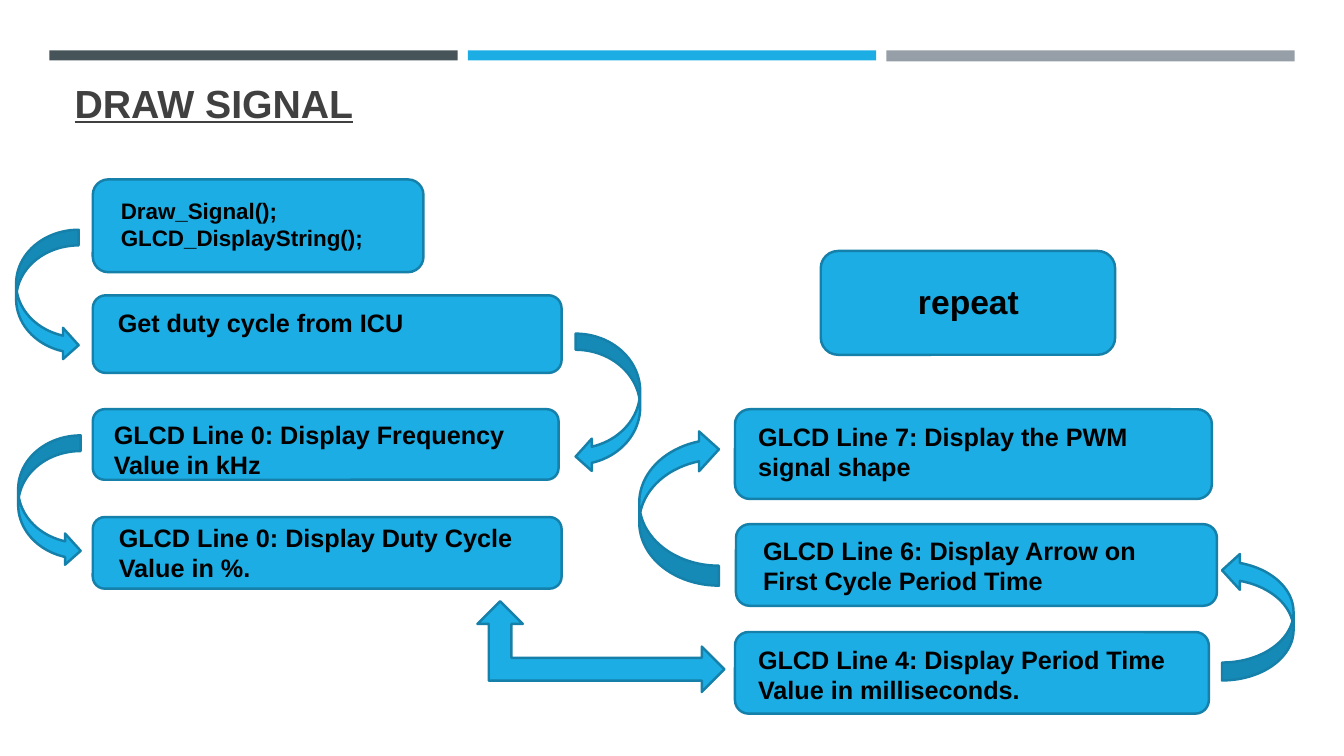
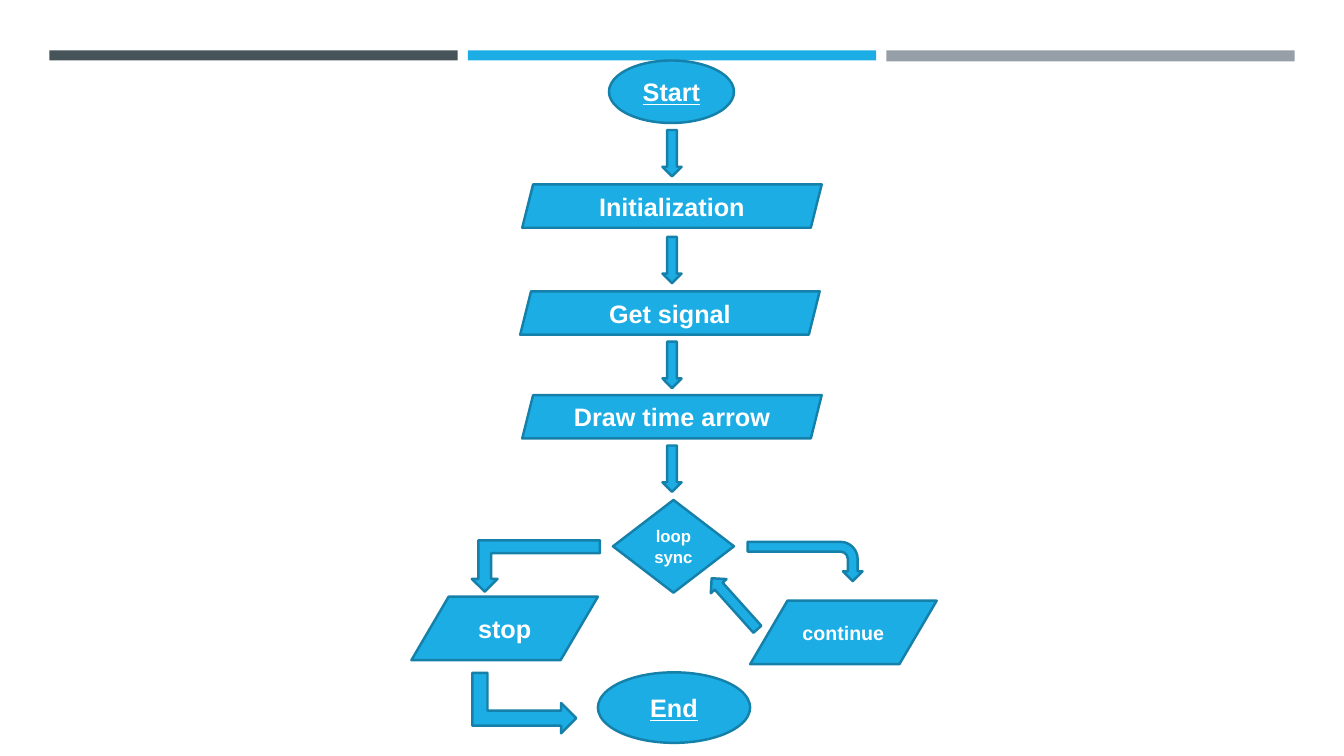
"""Build the two signal-display slides: the drawing steps and the program flowchart."""
from dataclasses import dataclass

from pptx import Presentation
from pptx.dml.color import RGBColor
from pptx.enum.shapes import MSO_SHAPE as Shape
from pptx.enum.text import MSO_ANCHOR as Anchor, MSO_AUTO_SIZE as AutoSize, PP_ALIGN as Align
from pptx.shapes.autoshape import Shape as AutoShape
from pptx.shapes.shapetree import GroupShapes, SlideShapes
from pptx.slide import Slide
from pptx.text.text import TextFrame
from pptx.util import Emu, Pt

EMU_PER_PX = 9144
FONT = "Arial"
BLUE = RGBColor(0x1C, 0xAD, 0xE4)
DEEP_BLUE = RGBColor(0x15, 0x80, 0xA9)
SLATE = RGBColor(0x46, 0x53, 0x59)
GREY = RGBColor(0x96, 0x9F, 0xA7)
CHARCOAL = RGBColor(0x40, 0x40, 0x40)
BLACK = RGBColor(0x00, 0x00, 0x00)
WHITE = RGBColor(0xFF, 0xFF, 0xFF)

BAND_LEFT, BAND_TOP, BAND_WIDTH, BAND_PITCH = 49, 50, 405, 415
BANDS = ((SLATE, 10), (BLUE, 10), (GREY, 11))


@dataclass(frozen=True)
class Box:
    """A rectangle in px."""
    left: int
    top: int
    width: int
    height: int

    def emu(self) -> tuple[Emu, ...]:
        """Return left, top, width and height in EMU."""
        return tuple(Emu(px * EMU_PER_PX) for px in (self.left, self.top, self.width, self.height))


@dataclass(frozen=True)
class Card:
    """A rounded step with a caption laid over it."""
    frame: Box
    caption: Box
    lines: tuple[str, ...]
    size: int = 18
    align: Align = Align.LEFT


@dataclass(frozen=True)
class Arrow:
    """A block arrow, turned clockwise by some degrees."""
    kind: Shape
    frame: Box
    turn: float = 0


@dataclass(frozen=True)
class Node:
    """A flowchart symbol with its label."""
    kind: Shape
    frame: Box
    lines: tuple[str, ...]
    size: int = 18
    underline: bool = False


CARDS = (
    Card(Box(92, 178, 328, 92), Box(110, 191, 292, 64),
         ("Draw_Signal();", "GLCD_DisplayString();"), 16),
    Card(Box(92, 293, 465, 77), Box(107, 300, 440, 40), ("Get duty cycle from ICU",)),
    Card(Box(92, 406, 462, 70), Box(103, 411, 445, 71),
         ("GLCD Line 0: Display Frequency", "Value in kHz")),
    Card(Box(92, 513, 465, 71), Box(108, 513, 445, 71),
         ("GLCD Line 0: Display Duty Cycle", "Value in %.")),
    Card(Box(729, 627, 470, 81), Box(742, 634, 437, 72),
         ("GLCD Line 4: Display Period Time", "Value in milliseconds.")),
    Card(Box(730, 520, 477, 81), Box(747, 526, 437, 71),
         ("GLCD Line 6: Display Arrow on", "First Cycle Period Time")),
    Card(Box(729, 406, 473, 89), Box(742, 413, 457, 71),
         ("GLCD Line 7: Display the PWM", "signal shape")),
    Card(Box(814, 249, 292, 103), Box(831, 274, 259, 52), ("repeat",), 24, Align.CENTER),
)

CARD_ARROWS = (
    Arrow(Shape.CURVED_RIGHT_ARROW, Box(16, 228, 62, 130)),
    Arrow(Shape.CURVED_LEFT_ARROW, Box(571, 331, 64, 138)),
    Arrow(Shape.CURVED_RIGHT_ARROW, Box(18, 432, 62, 130)),
    Arrow(Shape.LEFT_UP_ARROW, Box(551, 519, 90, 245), 90),
    Arrow(Shape.CURVED_UP_ARROW, Box(1184, 576, 127, 71), 270),
    Arrow(Shape.CURVED_DOWN_ARROW, Box(596, 464, 155, 79), 270),
)

NODES = (
    Node(Shape.OVAL, Box(604, 60, 124, 62), ("Start",), underline=True),
    Node(Shape.PARALLELOGRAM, Box(518, 183, 297, 43), ("Initialization",)),
    Node(Shape.PARALLELOGRAM, Box(516, 289, 297, 43), ("Get signal",)),
    Node(Shape.PARALLELOGRAM, Box(518, 392, 297, 43), ("Draw time arrow",)),
    Node(Shape.FLOWCHART_DECISION, Box(608, 496, 120, 92), ("loop", "sync"), 12),
    Node(Shape.FLOWCHART_DATA, Box(744, 596, 185, 63), ("continue",), 14),
    Node(Shape.FLOWCHART_DATA, Box(408, 592, 185, 63), ("stop",)),
    Node(Shape.OVAL, Box(593, 667, 151, 70), ("End",), underline=True),
)

FLOW_ARROWS = (
    *(Arrow(Shape.DOWN_ARROW, Box(657, top, 19, 46)) for top in (129, 235, 339, 442)),
    Arrow(Shape.BENT_ARROW, Box(779, 500, 39, 114), 90),
    Arrow(Shape.DOWN_ARROW, Box(718, 565, 21, 68), 138.1),
    Arrow(Shape.BENT_UP_ARROW, Box(468, 536, 127, 51), 180),
    Arrow(Shape.BENT_UP_ARROW, Box(490, 646, 60, 103), 90),
)


def write(frame: TextFrame, lines: tuple[str, ...], color: RGBColor, size: int,
          align: Align, underline: bool = False) -> None:
    """Write each line as a bold paragraph."""
    look = {"name": FONT, "size": Pt(size), "bold": True, "underline": underline}
    for index, line in enumerate(lines):
        paragraph = frame.add_paragraph() if index else frame.paragraphs[0]
        paragraph.alignment = align
        run = paragraph.add_run()
        run.text = line
        for attribute, value in look.items():
            setattr(run.font, attribute, value)
        run.font.color.rgb = color


def draw(shapes: SlideShapes | GroupShapes, kind: Shape, frame: Box,
         fill: RGBColor = BLUE, outlined: bool = True) -> AutoShape:
    """Add a flat filled shape, outlined unless told otherwise."""
    figure = shapes.add_shape(kind, *frame.emu())
    figure.shadow.inherit = False
    figure.fill.solid()
    figure.fill.fore_color.rgb = fill
    if outlined:
        figure.line.color.rgb = DEEP_BLUE
        figure.line.width = Pt(1.75)
    else:
        figure.line.fill.background()
    return figure


def draw_bands(slide: Slide) -> None:
    """Draw the three bands along the top."""
    for index, (color, height) in enumerate(BANDS):
        band = Box(BAND_LEFT + index * BAND_PITCH, BAND_TOP, BAND_WIDTH, height)
        draw(slide.shapes, Shape.RECTANGLE, band, color, outlined=False)


def draw_title(slide: Slide, text: str) -> None:
    """Place and format the title placeholder."""
    title = slide.shapes.title
    title.left, title.top, title.width, title.height = Box(64, 0, 1206, 130).emu()
    layout = {"vertical_anchor": Anchor.BOTTOM, "word_wrap": True, "auto_size": AutoSize.NONE}
    for attribute, value in layout.items():
        setattr(title.text_frame, attribute, value)
    write(title.text_frame, (text,), CHARCOAL, 28, Align.LEFT, underline=True)


def draw_card(slide: Slide, card: Card) -> None:
    """Draw a step and its caption as one group."""
    group = slide.shapes.add_group_shape()
    draw(group.shapes, Shape.ROUNDED_RECTANGLE, card.frame)
    caption = group.shapes.add_textbox(*card.caption.emu()).text_frame
    caption.word_wrap = True
    caption.auto_size = AutoSize.SHAPE_TO_FIT_TEXT
    write(caption, card.lines, BLACK, card.size, card.align)


def draw_arrow(slide: Slide, arrow: Arrow) -> None:
    """Draw a block arrow."""
    draw(slide.shapes, arrow.kind, arrow.frame).rotation = arrow.turn


def draw_node(slide: Slide, node: Node) -> None:
    """Draw a flowchart symbol with a centred label."""
    label = draw(slide.shapes, node.kind, node.frame).text_frame
    label.word_wrap = True
    label.vertical_anchor = Anchor.MIDDLE
    write(label, node.lines, WHITE, node.size, Align.CENTER, node.underline)


def main() -> None:
    """Build and save the presentation."""
    deck = Presentation()
    deck.slide_width, deck.slide_height = Box(0, 0, 1333, 750).emu()[2:]
    title_only, blank = deck.slide_layouts[5], deck.slide_layouts[6]

    drawing = deck.slides.add_slide(title_only)
    draw_bands(drawing)
    draw_title(drawing, "DRAW SIGNAL")
    for card in CARDS:
        draw_card(drawing, card)
    for arrow in CARD_ARROWS:
        draw_arrow(drawing, arrow)

    flowchart = deck.slides.add_slide(blank)
    draw_bands(flowchart)
    for node in NODES:
        draw_node(flowchart, node)
    for arrow in FLOW_ARROWS:
        draw_arrow(flowchart, arrow)

    deck.save("out.pptx")


if __name__ == "__main__":
    main()
